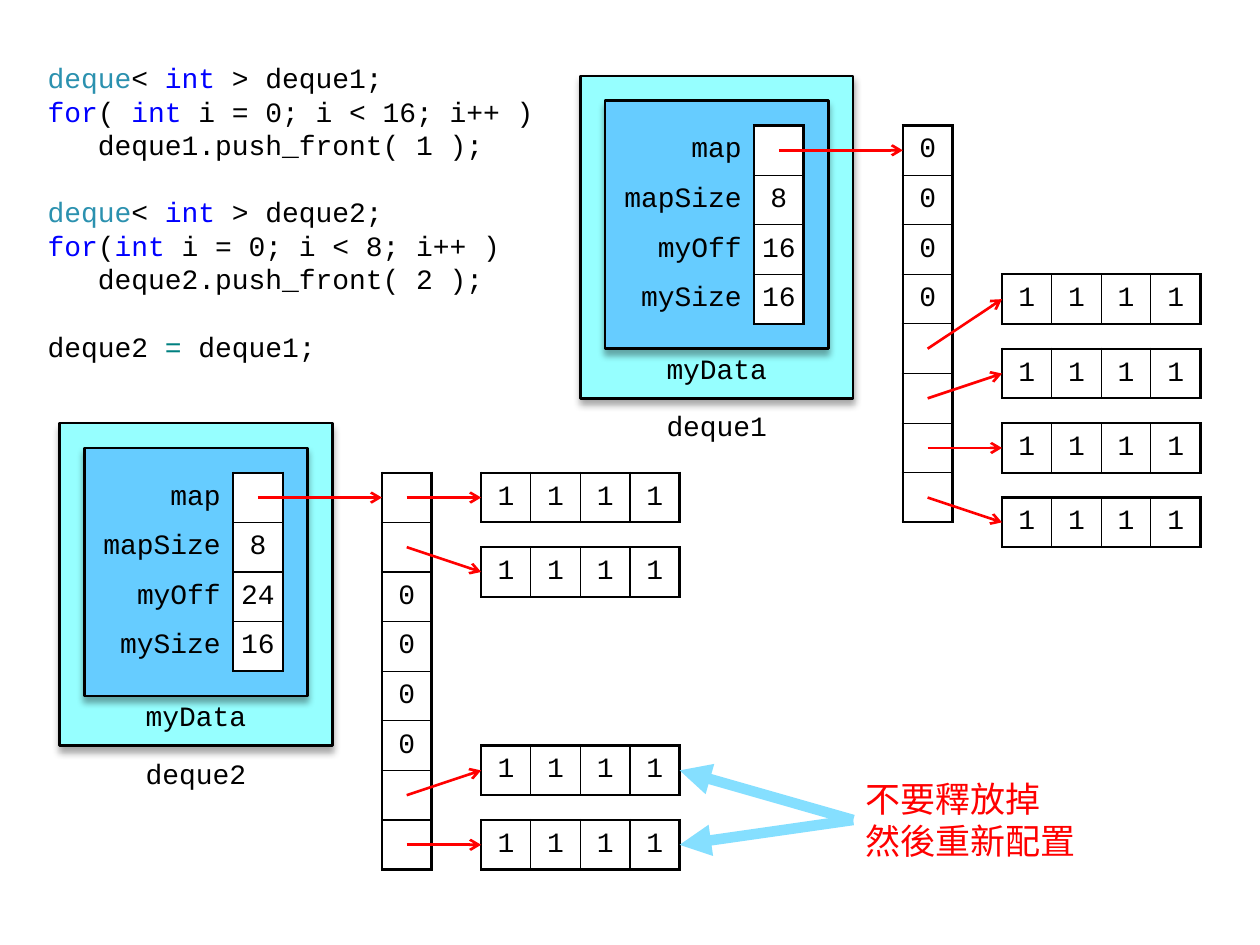
from lxml.etree import SubElement
from pptx import Presentation
from pptx.dml.color import RGBColor
from pptx.enum.shapes import MSO_CONNECTOR, MSO_SHAPE
from pptx.enum.text import MSO_ANCHOR, PP_ALIGN
from pptx.oxml.ns import qn
from pptx.util import Cm, Pt

COLORS = {
    "ink": "000000", "white": "FFFFFF", "outer": "96FFFF", "inner": "66CCFF",
    "red": "FF0000", "callout": "85DFFF",
    "type": "2B91AF", "keyword": "0000FF", "operator": "008080",
}
MONO, CJK = "Courier New", "Noto Sans CJK SC"
NO_GRID_STYLE = "{2D5ABB26-0587-4C30-8999-92F81FD0307C}"
THICK, THIN = 1.5, 0.75
CELL = 1  # side of one memory cell in cm
MAP_LEFT, BLOCK_LEFT, BLOCK_LENGTH = 6.5, 8.5, 4  # from the left of a deque

CODE = [  # blank lines above, coloured spans
    (0, [("deque", "type"), ("< ", "ink"), ("int", "keyword"), (" > deque1;", "ink")]),
    (0, [("for", "keyword"), ("( ", "ink"), ("int", "keyword"), (" i = 0; i < 16; i++ )", "ink")]),
    (0, [("   deque1.push_front( 1 );", "ink")]),
    (1, [("deque", "type"), ("< ", "ink"), ("int", "keyword"), (" > deque2;", "ink")]),
    (0, [("for", "keyword"), ("(", "ink"), ("int", "keyword"), (" i = 0; i < 8; i++ )", "ink")]),
    (0, [("   deque2.push_front( 2 );", "ink")]),
    (1, [("deque2 ", "ink"), ("= ", "operator"), ("deque1;", "ink")]),
]


def rgb(name):
    return RGBColor.from_string(COLORS[name])


def write(para, text, color="ink", size=16, font=MONO, align=None):
    """Append a formatted span to a paragraph."""
    if align is not None:
        para.alignment = align
    span = para.add_run()
    span.text = text
    span.font.size = Pt(size)
    span.font.name = font
    span.font.color.rgb = rgb(color)
    SubElement(span.font._element, qn("a:ea"), typeface=font)


def add_text_box(page, left, top, width, height, margins, anchor=MSO_ANCHOR.MIDDLE):
    """Add an empty text box; margins are left/right, top and bottom."""
    frame = page.shapes.add_textbox(Cm(left), Cm(top), Cm(width), Cm(height)).text_frame
    frame.word_wrap = True
    frame.vertical_anchor = anchor
    side, above, below = (Cm(margin) for margin in margins)
    frame.margin_left = frame.margin_right = side
    frame.margin_top, frame.margin_bottom = above, below
    return frame


def add_panel(page, left, top, width, height, color):
    box = page.shapes.add_shape(MSO_SHAPE.FLOWCHART_PROCESS,
                                Cm(left), Cm(top), Cm(width), Cm(height))
    box.fill.solid()
    box.fill.fore_color.rgb = rgb(color)
    box.line.color.rgb = rgb("ink")
    box.line.width = Pt(THICK)
    box.shadow.inherit = False
    effects = box._element.spPr.find(qn("a:effectLst"))
    shadow = SubElement(effects, qn("a:outerShdw"), blurRad=str(Pt(4)), dist=str(Pt(3)),
                        dir="5400000", algn="t", rotWithShape="0")
    black = SubElement(shadow, qn("a:srgbClr"), val=COLORS["ink"])
    SubElement(black, qn("a:alpha"), val="35000")


def add_arrow(page, start, end, color="red", width=THICK, head="arrow"):
    line = page.shapes.add_connector(MSO_CONNECTOR.STRAIGHT, *map(Cm, start + end))
    line.line.color.rgb = rgb(color)
    line.line.width = Pt(width)
    properties = line._element.spPr
    SubElement(properties.find(qn("a:ln")), qn("a:tailEnd"), type=head)
    SubElement(properties, qn("a:effectLst"))


def set_borders(cell, **widths):
    properties = cell._tc.get_or_add_tcPr()
    for side in "LRTB":
        if side in widths:
            line = SubElement(properties, qn(f"a:ln{side}"), w=str(Pt(widths[side])))
            fill = SubElement(line, qn("a:solidFill"))
            SubElement(fill, qn("a:srgbClr"), val=COLORS["ink"])


def fill_cell(cell, text, margin, align=PP_ALIGN.CENTER, color=None):
    cell.vertical_anchor = MSO_ANCHOR.MIDDLE
    cell.margin_left = cell.margin_right = Cm(margin)
    cell.margin_top = cell.margin_bottom = Cm(0.1)
    if color:
        cell.fill.solid()
        cell.fill.fore_color.rgb = rgb(color)
    else:
        cell.fill.background()
    write(cell.text_frame.paragraphs[0], text, align=align)


def add_grid(page, left, top, rows, widths=(CELL,), labelled=False, margin=0.1):
    """Add a table of memory cells with a thick frame; a label column has no frame."""
    height = CELL * len(rows)
    frame = page.shapes.add_table(len(rows), len(widths), Cm(left), Cm(top),
                                  Cm(sum(widths)), Cm(height))
    table = frame.table
    table.first_row = table.horz_banding = False
    next(frame._element.iter(qn("a:tableStyleId"))).text = NO_GRID_STYLE
    for column, width in zip(table.columns, widths):
        column.width = Cm(width)
    first, last = int(labelled), len(widths) - 1
    for i, values in enumerate(rows):
        table.rows[i].height = Cm(CELL)
        for j, text in enumerate(values):
            cell = table.cell(i, j)
            if j < first:
                set_borders(cell, R=THICK)
                fill_cell(cell, text, 0.25, PP_ALIGN.RIGHT)
                continue
            set_borders(cell, L=THICK if j == first else THIN,
                        R=THICK if j == last else THIN,
                        T=THICK if i == 0 else THIN,
                        B=THICK if i == len(rows) - 1 else THIN)
            fill_cell(cell, text, margin, color="white" if labelled else None)


def add_deque(page, left, top, name, offset, blocks):
    """Draw a deque; blocks maps a map row to the top of its block."""
    add_panel(page, left, top, 5.5, 6.5, "outer")
    add_panel(page, left + 0.5, top + 0.5, 4.5, 5, "inner")
    caption = add_text_box(page, left + 1, top + 6.5, 3.5, 1, (0.2, 0.1, 0))
    write(caption.paragraphs[0], name, align=PP_ALIGN.CENTER)
    member = add_text_box(page, left + 1.5, top + 5.5, 2.5, 1, (0.2, 0.05, 0), MSO_ANCHOR.TOP)
    write(member.paragraphs[0], "myData", align=PP_ALIGN.CENTER)

    fields = [("map", ""), ("mapSize", "8"), ("myOff", offset), ("mySize", "16")]
    add_grid(page, left + 0.5, top + 1, fields, (3, CELL), labelled=True, margin=0)
    add_grid(page, left + MAP_LEFT, top + 1, [("" if row in blocks else "0",) for row in range(8)])
    add_arrow(page, (left + 4, top + 1.5), (left + MAP_LEFT, top + 1.5))

    for row, block_top in blocks.items():
        add_grid(page, left + BLOCK_LEFT, top + block_top,
                 [("1",) * BLOCK_LENGTH], (CELL,) * BLOCK_LENGTH)
        add_arrow(page, (left + MAP_LEFT + CELL / 2, top + 1.5 + row * CELL),
                  (left + BLOCK_LEFT, top + block_top + CELL / 2))


def add_code(page, left, top, width, height):
    frame = add_text_box(page, left, top, width, height, (0.25, 0.2, 0.1), MSO_ANCHOR.TOP)
    pitch = 19.2
    for i, (blank_lines, spans) in enumerate(CODE):
        para = frame.add_paragraph() if i else frame.paragraphs[0]
        para.line_spacing = Pt(pitch)
        para.space_before = Pt(pitch * blank_lines)
        for text, color in spans:
            write(para, text, color)


def add_callout(page, left, top, width, height, targets):
    for target in targets:
        add_arrow(page, (left, top + height / 2), target, "callout", 6, "triangle")
    frame = add_text_box(page, left, top, width, height, (0.25, 0.13, 0.13))
    for i, text in enumerate(("不要釋放掉", "然後重新配置")):
        para = frame.add_paragraph() if i else frame.paragraphs[0]
        para.line_spacing = Pt(24)
        write(para, text, "red", 20, CJK)


def main():
    deck = Presentation()
    deck.slide_width, deck.slide_height = Cm(25.4), Cm(19.05)
    page = deck.slides.add_slide(deck.slide_layouts[6])
    add_code(page, 0.71, 1.02, 10.5, 6.5)
    add_deque(page, 11.7, 1.53, "deque1", "16", {4: 4, 5: 5.5, 6: 7, 7: 8.5})
    left, top = 1.2, 8.53
    reused = {6: 6.5, 7: 8}
    add_deque(page, left, top, "deque2", "24", {0: 1, 1: 2.5, **reused})
    block_right = left + BLOCK_LEFT + BLOCK_LENGTH * CELL
    add_callout(page, block_right + 3.5, top + 7, 5, 2,
                [(block_right, top + y + CELL / 2) for y in reused.values()])
    deck.save("out.pptx")


if __name__ == "__main__":
    main()
